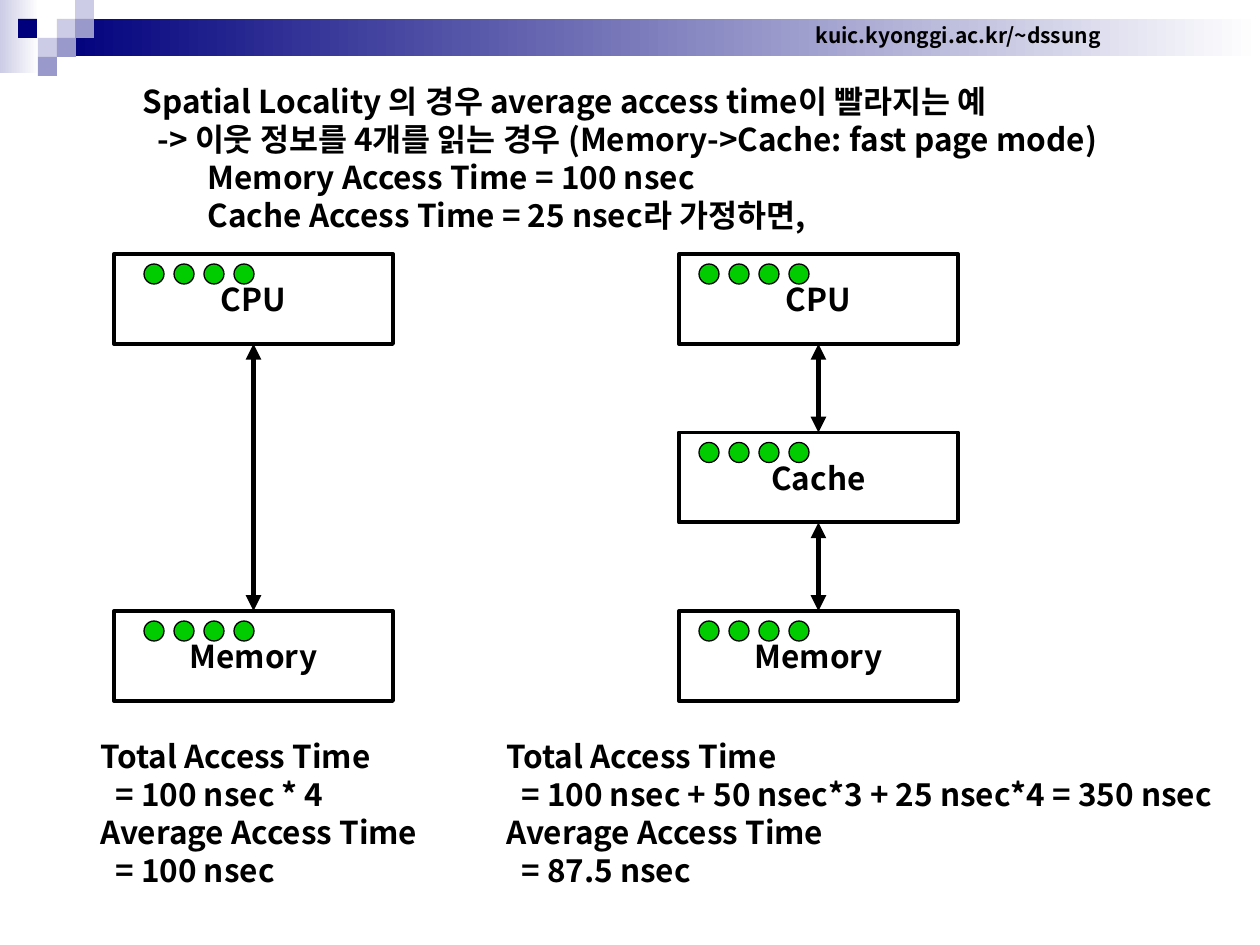
from pptx import Presentation
from pptx.dml.color import RGBColor
from pptx.enum.shapes import MSO_CONNECTOR, MSO_SHAPE
from pptx.enum.text import MSO_ANCHOR, MSO_AUTO_SIZE, PP_ALIGN
from pptx.oxml.ns import qn
from pptx.util import Pt
from lxml.etree import SubElement

BLACK = RGBColor(0x00, 0x00, 0x00)
WHITE = RGBColor(0xFF, 0xFF, 0xFF)
NAVY = RGBColor(0x00, 0x00, 0x7D)
LAVENDER = RGBColor(0xCC, 0xCC, 0xE6)
VIOLET = RGBColor(0x99, 0x99, 0xCC)
GREEN = RGBColor(0x00, 0xCC, 0x00)
FONT = "Noto Sans CJK KR"

SITE = ("kuic.kyonggi.ac.kr/~dssung", (803, 16, 311, 38))
INTRO = [
    ("Spatial Locality 의 경우 average access time이 빨라지는 예", 0),
    ("-> 이웃 정보를 4개를 읽는 경우 (Memory->Cache: fast page mode)", 15),
    ("Memory Access Time = 100 nsec", 65),
    ("Cache Access Time = 25 nsec라 가정하면,", 65),
]
INTRO_PLACE = (130, 76, 1029, 164)
RESULTS = [
    ((88, 731, 349, 164), "= 100 nsec * 4", "= 100 nsec"),
    ((494, 731, 751, 164), "= 100 nsec + 50 nsec*3 + 25 nsec*4 = 350 nsec",
     "= 87.5 nsec"),
]
STACKS = [
    {"left": 114, "dots": 144, "units": {"CPU": 0, "Memory": 2}},
    {"left": 679, "dots": 699, "units": {"CPU": 0, "Cache": 1, "Memory": 2}},
]
BANDS = [((0, 0, 39, 73), LAVENDER), ((57, 19, 1203, 37), NAVY)]
TILES = [
    (57, 19, LAVENDER), (75, 0, LAVENDER), (75, 19, VIOLET), (38, 38, LAVENDER),
    (18, 19, NAVY), (57, 38, VIOLET), (38, 57, VIOLET),
]
TILE = 19
UNIT_WIDTH, UNIT_HEIGHT = 279, 90
FIRST_ROW, ROW_STEP = 254, 178.5
DOT, DOT_STEP, DOT_DROP, DOT_COUNT = 20, 30, 10, 4


def px(value):
    return round(value * 914400 / 126)


def add_shape(page, kind, place, fill, line_width=None):
    shape = page.shapes.add_shape(kind, *map(px, place))
    shape.shadow.inherit = False
    shape.fill.solid()
    shape.fill.fore_color.rgb = fill
    if line_width is None:
        shape.line.fill.background()
    else:
        shape.line.color.rgb = BLACK
        shape.line.width = Pt(line_width)
    return shape


def write(shape, lines, size=18, align=PP_ALIGN.LEFT, anchor=MSO_ANCHOR.TOP, wrap=True):
    frame = shape.text_frame
    frame_format = {"auto_size": MSO_AUTO_SIZE.NONE, "word_wrap": wrap,
                    "vertical_anchor": anchor}
    for name, value in frame_format.items():
        setattr(frame, name, value)
    for number, (text, indent) in enumerate(lines):
        para = frame.paragraphs[0] if number == 0 else frame.add_paragraph()
        para.alignment = align
        para.line_spacing = Pt(size * 1.2)
        if indent:
            para._p.get_or_add_pPr().set("marL", str(px(indent)))
        span = para.add_run()
        span.text = text
        for name, value in {"name": FONT, "size": Pt(size), "bold": True}.items():
            setattr(span.font, name, value)
        span.font.color.rgb = BLACK
        SubElement(span._r.get_or_add_rPr(), qn("a:ea"), typeface=FONT)


def add_arrow(page, upper, lower):
    arrow = page.shapes.add_connector(MSO_CONNECTOR.STRAIGHT, 0, 0, 0, 0)
    arrow.begin_connect(upper, 2)
    arrow.end_connect(lower, 0)
    arrow.line.color.rgb = BLACK
    arrow.line.width = Pt(3)
    line = arrow.line._get_or_add_ln()
    for end in ("a:headEnd", "a:tailEnd"):
        SubElement(line, qn(end), type="triangle")
    SubElement(arrow._element.spPr, qn("a:effectLst"))


def add_banner(page):
    for place, color in BANDS:
        band = add_shape(page, MSO_SHAPE.RECTANGLE, place, color)
        band.fill.gradient()
        band.fill.gradient_angle = 0
        for stop, stop_color in zip(band.fill.gradient_stops, (color, WHITE)):
            stop.color.rgb = stop_color
    for left, top, color in TILES:
        add_shape(page, MSO_SHAPE.RECTANGLE, (left, top, TILE, TILE), color)
    text, place = SITE
    box = page.shapes.add_textbox(*map(px, place))
    write(box, [(text, 0)], 12, PP_ALIGN.CENTER, MSO_ANCHOR.MIDDLE, False)


def add_stack(page, stack):
    upper = None
    for label, row in stack["units"].items():
        top = FIRST_ROW + row * ROW_STEP
        place = (stack["left"], top, UNIT_WIDTH, UNIT_HEIGHT)
        unit = add_shape(page, MSO_SHAPE.RECTANGLE, place, WHITE, 2.25)
        write(unit, [(label, 0)], 18, PP_ALIGN.CENTER, MSO_ANCHOR.MIDDLE, False)
        if upper is not None:
            add_arrow(page, upper, unit)
        upper = unit
        for number in range(DOT_COUNT):
            left = stack["dots"] + number * DOT_STEP
            add_shape(page, MSO_SHAPE.OVAL, (left, top + DOT_DROP, DOT, DOT), GREEN, 0.75)


def main():
    deck = Presentation()
    deck.slide_width, deck.slide_height = px(1260), px(945)
    page = deck.slides.add_slide(deck.slide_layouts[5])
    add_banner(page)
    title = page.shapes.title
    for name, value in zip(("left", "top", "width", "height"), INTRO_PLACE):
        setattr(title, name, px(value))
    write(title, INTRO)
    for stack in STACKS:
        add_stack(page, stack)
    for place, total, average in RESULTS:
        box = page.shapes.add_textbox(*map(px, place))
        write(box, [("Total Access Time", 0), (total, 15),
                    ("Average Access Time", 0), (average, 15)])
    deck.save("out.pptx")


if __name__ == "__main__":
    main()
